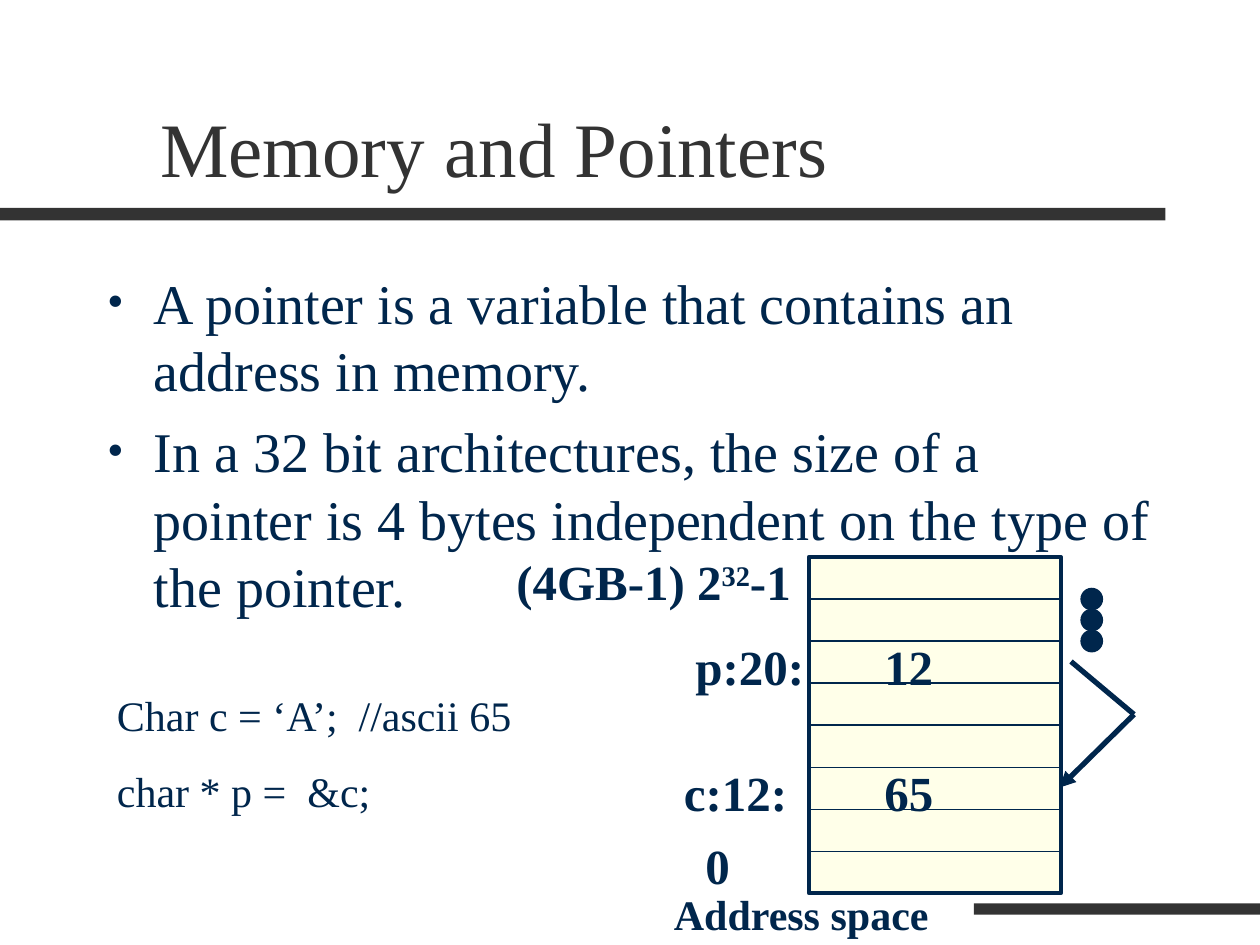
import pptx
import pptx.dml.color
import pptx.enum.shapes
import pptx.enum.text
import pptx.oxml.ns
import pptx.util
from lxml import etree
from pptx.util import Inches

NAVY = pptx.dml.color.RGBColor(0x00, 0x26, 0x4C)
CHARCOAL = pptx.dml.color.RGBColor(0x33, 0x33, 0x33)
CREAM = pptx.dml.color.RGBColor(0xFF, 0xFF, 0xE9)
FONT = "Times New Roman"
SHAPES = pptx.enum.shapes.MSO_SHAPE
ANCHOR = pptx.enum.text.MSO_ANCHOR


def add_element(parent, tag, **attributes):
    """Append a DrawingML element to a parent."""
    element = etree.SubElement(parent, pptx.oxml.ns.qn(tag))
    for key, value in attributes.items():
        element.set(key, value)
    return element


def format_font(font, size, color=NAVY, bold=False):
    """Apply the slide's typeface with the given values."""
    font.color.rgb = color
    values = {"name": FONT, "size": pptx.util.Pt(size), "bold": bold}
    for key, value in values.items():
        setattr(font, key, value)


def place(part, box):
    """Move a part to a (left, top, width, height) box in inches."""
    for key, value in zip(("left", "top", "width", "height"), box):
        setattr(part, key, Inches(value))


def write_lines(frame, lines, size, color=NAVY, bold=False, gap=0,
                anchor=ANCHOR.TOP, bulleted=False):
    """Fill a text frame with left-aligned paragraphs."""
    values = {"word_wrap": True, "vertical_anchor": anchor,
              "auto_size": pptx.enum.text.MSO_AUTO_SIZE.NONE}
    for key, value in values.items():
        setattr(frame, key, value)
    for index, line in enumerate(lines):
        paragraph = frame.add_paragraph() if index else frame.paragraphs[0]
        paragraph.alignment = pptx.enum.text.PP_ALIGN.LEFT
        paragraph.space_before = pptx.util.Pt(gap if index else 0)
        if bulleted:
            properties = paragraph._p.get_or_add_pPr()
            properties.set("marL", str(Inches(0.37)))
            properties.set("indent", str(-Inches(0.37)))
            bullet_color = add_element(properties, "a:buClr")
            add_element(bullet_color, "a:srgbClr", val=str(NAVY))
            add_element(properties, "a:buSzPct", val="85000")
            add_element(properties, "a:buFont", typeface=FONT)
            add_element(properties, "a:buChar", char="•")
        format_font(paragraph.font, size, color, bold)
        run = paragraph.add_run()
        run.text = line
        format_font(run.font, size, color, bold)


def add_label(slide, box, lines, size=28, bold=True, gap=0):
    """Add a text box and return its last paragraph."""
    label = slide.shapes.add_textbox(*map(Inches, box))
    write_lines(label.text_frame, lines, size, bold=bold, gap=gap)
    return label.text_frame.paragraphs[-1]


def add_block(slide, kind, box, fill, line_width=0):
    """Add a filled shape, outlined in navy if a width is given."""
    block = slide.shapes.add_shape(kind, *map(Inches, box))
    block.shadow.inherit = False
    block.fill.solid()
    block.fill.fore_color.rgb = fill
    if line_width:
        block.line.color.rgb = NAVY
        block.line.width = pptx.util.Pt(line_width)
    else:
        block.line.fill.background()


def add_line(slide, start, end, width, arrow=False):
    """Add a straight navy line, with an arrowhead at its end on request."""
    line = slide.shapes.add_connector(
        pptx.enum.shapes.MSO_CONNECTOR.STRAIGHT, *map(Inches, (*start, *end)))
    line.line.color.rgb = NAVY
    line.line.width = pptx.util.Pt(width)
    if arrow:
        add_element(line.line._get_or_add_ln(), "a:tailEnd", type="triangle")
    add_element(line._element.spPr, "a:effectLst")


def add_header(slide, box):
    """Place the title and the two decorative bars."""
    for bar in ((0, 1.65, 9.25, 0.1), (7.73, 7.17, 2.27, 0.09)):
        add_block(slide, SHAPES.RECTANGLE, bar, CHARCOAL)
    title = slide.shapes.title
    place(title, box)
    write_lines(title.text_frame, ["Memory and Pointers"], 44, CHARCOAL,
                anchor=ANCHOR.BOTTOM)


def add_points(slide, box):
    """Place the bulleted list."""
    body = slide.placeholders[1]
    place(body, box)
    write_lines(body.text_frame, [
        "A pointer is a variable that contains an address in memory.",
        "In a 32 bit architectures, the size of a pointer is 4 bytes "
        "independent on the type of the pointer.",
    ], 32, gap=8, bulleted=True)


def add_memory(slide, box, cells=8):
    """Draw the address space with its cells, labels and values."""
    left, top, width, height = box
    add_block(slide, SHAPES.RECTANGLE, box, CREAM, 2.25)
    for index in range(1, cells):
        y = top + height * index / cells
        add_line(slide, (left, y), (left + width, y), 0.75)
    labels = (
        ("0", -0.92, 2.16, 0.83),
        ("p:20:", -1, 0.58, 1.08),
        ("12", 0.5, 0.58, 0.83),
        ("c:12:", -1.09, 1.58, 1.08),
        ("65", 0.5, 1.58, 1.08),
    )
    for text, x, y, label_width in labels:
        add_label(slide, (left + x, top + y, label_width, 0.57), [text])
    limit = add_label(slide, (left - 2.42, top - 0.09, 2.75, 0.57), ["(4GB-1) 2"])
    for text, baseline in (("32", "30000"), ("-1", "0")):
        run = limit.add_run()
        run.text = text
        format_font(run.font, 28, bold=True)
        run.font._element.set("baseline", baseline)
    add_label(slide, (left - 1.17, top + 2.58, 3.83, 0.5), ["Address space"], 24)


def add_pointer(slide, box, dots=3):
    """Draw the dots and the bent arrow beside the memory."""
    left, top, width, height = box
    bend = (left + width, top + 1)
    add_line(slide, bend, (left, top + height), 3, arrow=True)
    add_line(slide, (left + 0.09, top + 0.58), bend, 3)
    for index in range(dots):
        add_block(slide, SHAPES.OVAL,
                  (left + 0.17, top + index / 6, 0.17, 0.17), NAVY, 0.75)


def main():
    """Build and save the slide."""
    deck = pptx.Presentation()
    deck.slide_width, deck.slide_height = Inches(10), Inches(7.5)
    slide = deck.slides.add_slide(deck.slide_layouts[1])
    add_header(slide, (1.17, 0.33, 8.5, 1.25))
    add_points(slide, (0.75, 2.08, 8.5, 4.58))
    add_memory(slide, (6.42, 4.42, 2, 2.67))
    add_label(slide, (0.83, 5.42, 3.92, 1.11),
              ["Char c = ‘A’;  //ascii 65", "char * p =  &c;"], 24, False, 15)
    add_pointer(slide, (8.41, 4.67, 0.59, 1.58))
    deck.save("out.pptx")


if __name__ == "__main__":
    main()
